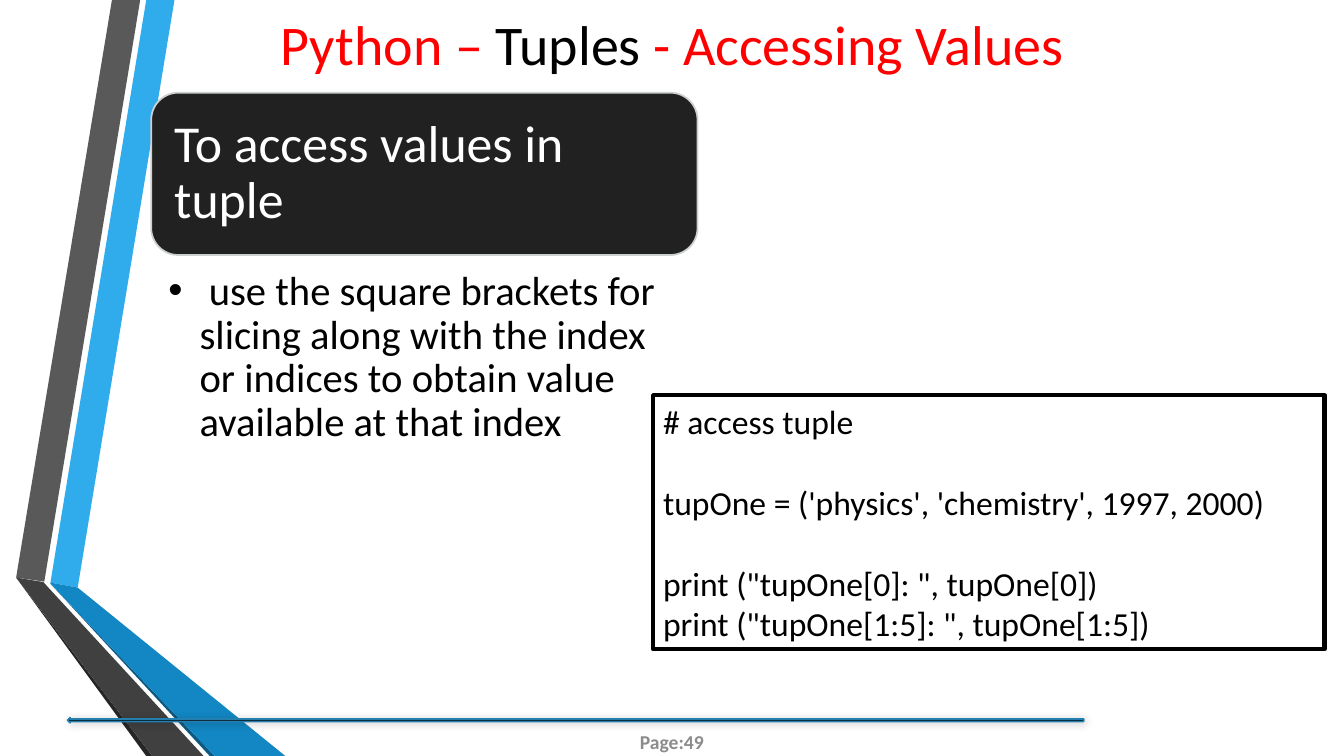
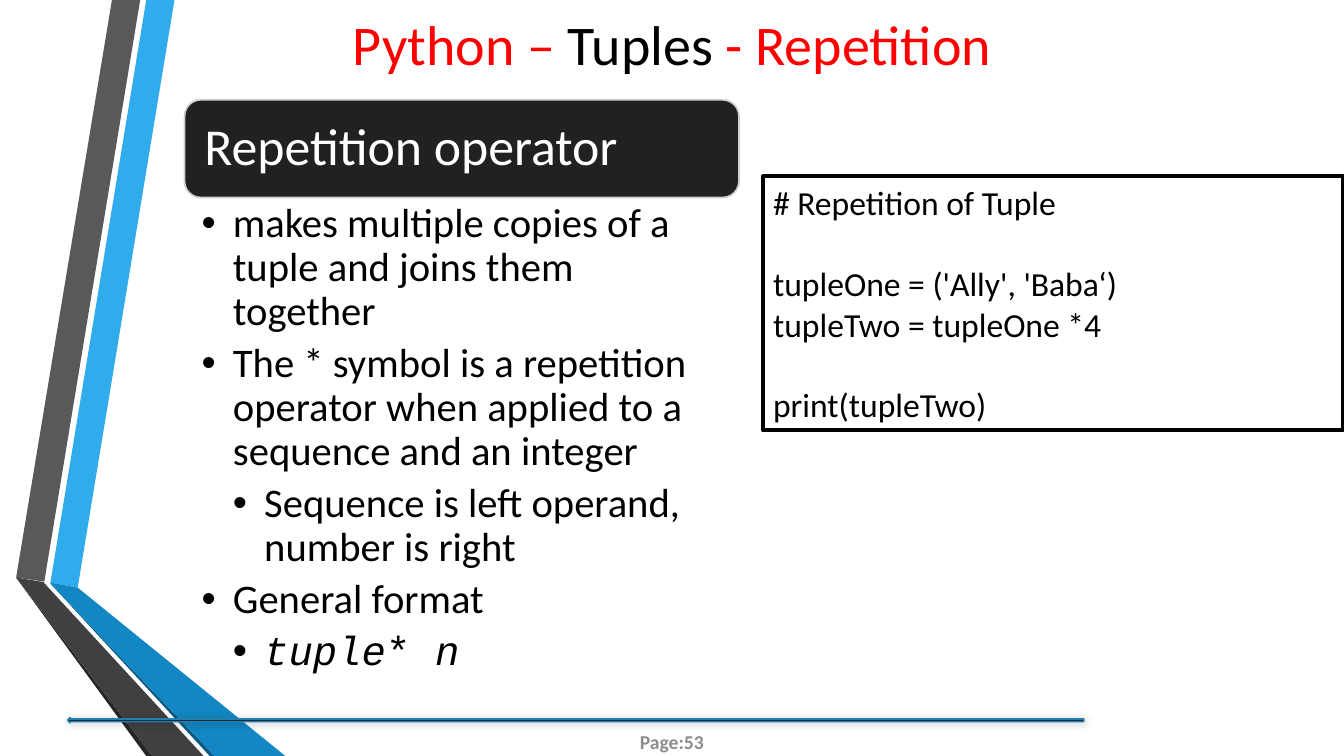
from lxml.etree import SubElement as sub
from pptx import Presentation
from pptx.dml.color import RGBColor
from pptx.enum.shapes import MSO_SHAPE as Kind
from pptx.enum.text import MSO_ANCHOR as Anchor, MSO_AUTO_SIZE as Auto, PP_ALIGN as Align
from pptx.oxml.ns import qn
from pptx.util import Inches, Pt

INK = {"red": "FF0000", "black": "000000", "white": "FFFFFF", "grey": "8C8C8C",
       "card": "212121", "edge": "CDD0D1", "rule": "247FAF",
       "sky": "30ACEC", "slate": "595959", "soot": "262626",
       "navy": "0C5A82", "blue": "1287C3", "coal": "404040"}
FACE, MONO = "Calibri", "Courier New"
WIDE, HIGH = Inches(13.33), Inches(7.5)
BANDS = [
    ("sky", [(3.75, 77.07), (5.78, 77.73), (12.98, 0), (10.88, 0)]),
    ("slate", [(10.43, 0), (8.33, 0), (1.2, 76.4), (3.3, 76.93)]),
    ("soot", [(1.2, 76.4), (10.88, 100), (11.33, 100)]),
    ("navy", [(3.75, 77.2), (15.6, 100), (15.98, 100)]),
    ("blue", [(3.75, 77.2), (15.98, 100), (21.23, 100), (5.78, 77.73), (3.75, 77.07)]),
    ("coal", [(15.15, 100), (3.6, 77.73), (3.23, 77), (1.2, 76.4), (11.33, 100)]),
]
PAGES = [
    {"page": 49, "topic": "Accessing Values",
     "card": (11.25, 12.27, 40.65, 78.53), "head": 21.47, "gap": 1.33,
     "name": "To access values in tuple",
     "list": [(0, " use the square brackets for slicing along with the index "
                  "or indices to obtain value available at that index")],
     "box": (48.6, 52.27, 49.95, 33.6),
     "code": ["# access tuple", "", "tupOne = ('physics', 'chemistry', 1997, 2000)", "",
              'print ("tupOne[0]: ", tupOne[0])', 'print ("tupOne[1:5]: ", tupOne[1:5])']},
    {"page": 53, "topic": "Repetition",
     "card": (13.73, 13.2, 41.25, 78.8), "head": 12.93, "gap": 0,
     "name": "Repetition operator",
     "list": [(0, "makes multiple copies of a tuple and joins them together"),
              (0, "The * symbol is a repetition operator when applied to a "
                  "sequence and an integer"),
              (1, "Sequence is left operand, number is right"),
              (0, "General format"),
              (1, [("tuple", True), ("* ", False), ("n", True)])],
     "box": (56.78, 23.33, 43.13, 33.6),
     "code": ["# Repetition of Tuple", "", "tupleOne = ('Ally', 'Baba‘)",
              "tupleTwo = tupleOne *4", "", "print(tupleTwo)"]},
]


def rgb(name):
    """Return the named colour."""
    return RGBColor.from_string(INK[name])


def span(x, y, w, h):
    """Turn percentages of the slide into lengths."""
    return [int(part * side / 100) for part, side in zip((x, y, w, h), (WIDE, HIGH) * 2)]


def move(shape, box):
    """Place a shape in a box of percentages."""
    shape.left, shape.top, shape.width, shape.height = span(*box)


def style(font, size, ink, face=FACE):
    """Set size, colour and face of a font."""
    font.size, font.name = Pt(size), face
    font.color.rgb = rgb(ink)


def frame(shape, pads, anchor):
    """Set wrapping, insets and anchor, and return the text frame."""
    text = shape.text_frame
    text.word_wrap, text.auto_size, text.vertical_anchor = True, Auto.NONE, anchor
    (text.margin_left, text.margin_top,
     text.margin_right, text.margin_bottom) = map(Inches, pads)
    return text


def block(slide, kind, box, fill, line, width):
    """Add a flat preset shape."""
    shape = slide.shapes.add_shape(kind, *span(*box))
    shape.shadow.inherit = False
    if fill:
        shape.fill.solid()
        shape.fill.fore_color.rgb = rgb(fill)
    else:
        shape.fill.background()
    shape.line.color.rgb, shape.line.width = rgb(line), Pt(width)
    return shape


def decor(slide, page):
    """Draw the folded bands, the bottom rule and the page number."""
    for ink, dots in BANDS:
        spots = [span(x, y, 0, 0)[:2] for x, y in dots]
        path = slide.shapes.build_freeform(*spots[0])
        path.add_line_segments(spots[1:])
        band = path.convert_to_shape()
        band.shadow.inherit = False
        band.fill.solid()
        band.fill.fore_color.rgb = rgb(ink)
        band.line.fill.background()
    rule = block(slide, Kind.LEFT_ARROW, (5.03, 94.93, 75.6, 0.67), "black", "rule", 1.25)
    glow = sub(rule.element.spPr.find(qn("a:effectLst")), qn("a:outerShdw"),
               blurRad=str(Pt(6)), dist=str(Pt(1)), dir="2700000")
    tint = sub(glow, qn("a:srgbClr"), val=INK["black"])
    sub(tint, qn("a:alpha"), val="20000")
    label = slide.shapes.add_textbox(*span(43.35, 96.26, 13.28, 3.74))
    para = frame(label, (0.04, 0.02, 0.04, 0.02), Anchor.MIDDLE).paragraphs[0]
    para.text, para.alignment = f"Page:{page}", Align.CENTER
    style(para.font, 14, "grey")
    para.font.bold = True


def title(slide, topic):
    """Fill the title placeholder with its coloured parts."""
    shape = slide.shapes.title
    move(shape, (0, 0, 100, 11.47))
    para = frame(shape, (0.1, 0.05, 0.1, 0.05), Anchor.MIDDLE).paragraphs[0]
    para.alignment = Align.CENTER
    for words, ink in (("Python – ", "red"), ("Tuples ", "black"), (f"- {topic}", "red")):
        run = para.add_run()
        run.text = words
        style(run.font, 40, ink)


def card(slide, box, head, gap, name, items):
    """Stack a dark heading over the bulleted body placeholder."""
    x, y, w, h = box
    top = block(slide, Kind.ROUNDED_RECTANGLE, (x, y, w, head), "card", "edge", 1.25)
    para = frame(top, (0.15,) * 4, Anchor.MIDDLE).paragraphs[0]
    para.text, para.alignment, para.line_spacing = name, Align.LEFT, 0.9
    style(para.font, 37, "white")
    body = slide.placeholders[1]
    move(body, (x, y + head + gap, w, h - head - gap))
    text = frame(body, (0.17, 0.05, 0.29, 0.05), Anchor.TOP)
    for i, (level, words) in enumerate(items):
        para = text.add_paragraph() if i else text.paragraphs[0]
        para.level, para.line_spacing = level, 0.9
        para.space_before, para.space_after = Pt(0), Pt(6)
        props = para._p.get_or_add_pPr()
        props.set("marL", str(Inches(0.31 * (level + 1))))
        props.set("indent", str(-Inches(0.31)))
        sub(props, qn("a:buFont"), typeface="Arial")
        sub(props, qn("a:buChar"), char="•")
        if isinstance(words, str):
            para.text = words
            style(para.font, 29, "black")
            continue
        style(para.font, 29, "black", MONO)
        for part, slant in words:
            run = para.add_run()
            run.text, run.font.italic = part, slant
            style(run.font, 29, "black", MONO)


def code(slide, box, lines):
    """Add the framed listing, turning empty lines into spacing."""
    shape = block(slide, Kind.RECTANGLE, box, None, "black", 3)
    text = frame(shape, (0.1, 0.05, 0.1, 0.05), Anchor.MIDDLE)
    para, blank = text.paragraphs[0], False
    for i, line in enumerate(lines):
        if line:
            para = text.add_paragraph() if i else para
            para.text, para.alignment = line, Align.LEFT
            para.space_before = Pt(29 if blank else 0)
            style(para.font, 24, "black")
        blank = not line


def main():
    """Build and save the deck."""
    deck = Presentation()
    deck.slide_width, deck.slide_height = WIDE, HIGH
    for page in PAGES:
        slide = deck.slides.add_slide(deck.slide_layouts[1])
        decor(slide, page["page"])
        title(slide, page["topic"])
        card(slide, page["card"], page["head"], page["gap"], page["name"], page["list"])
        code(slide, page["box"], page["code"])
    deck.save("out.pptx")


if __name__ == "__main__":
    main()
